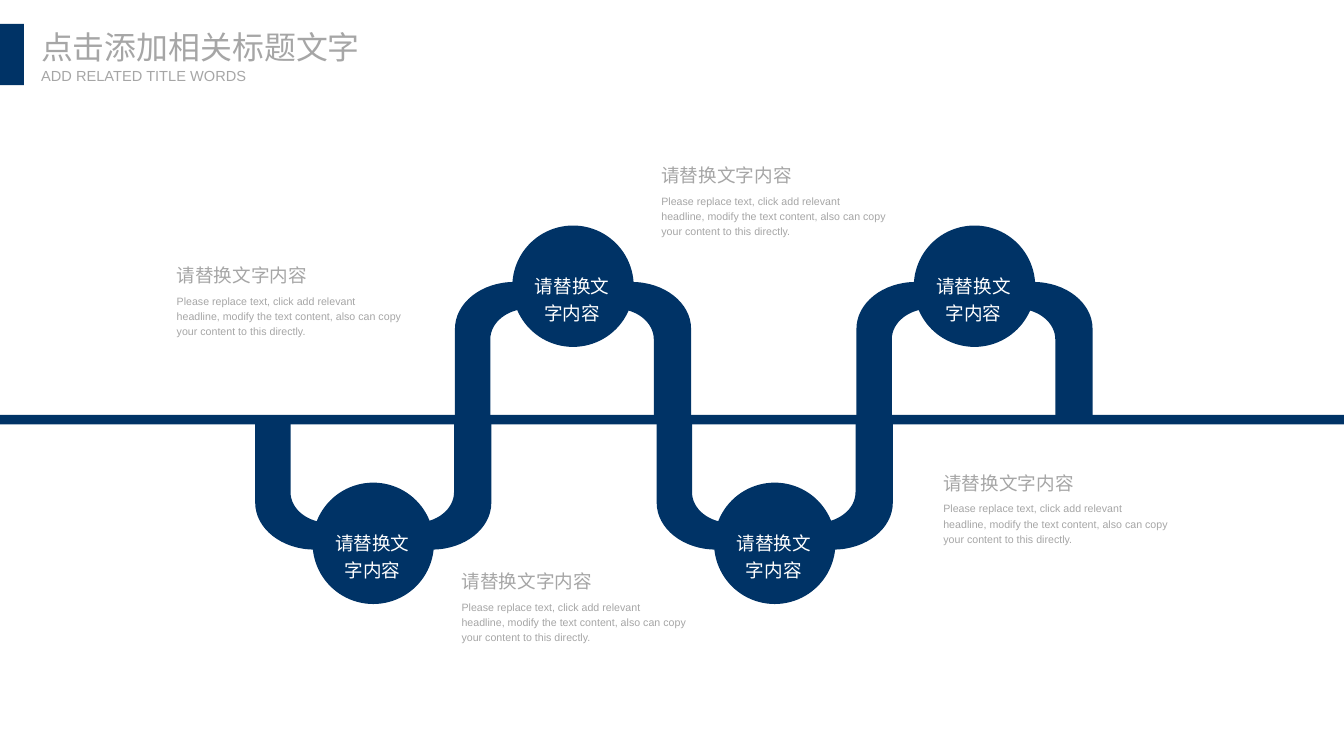
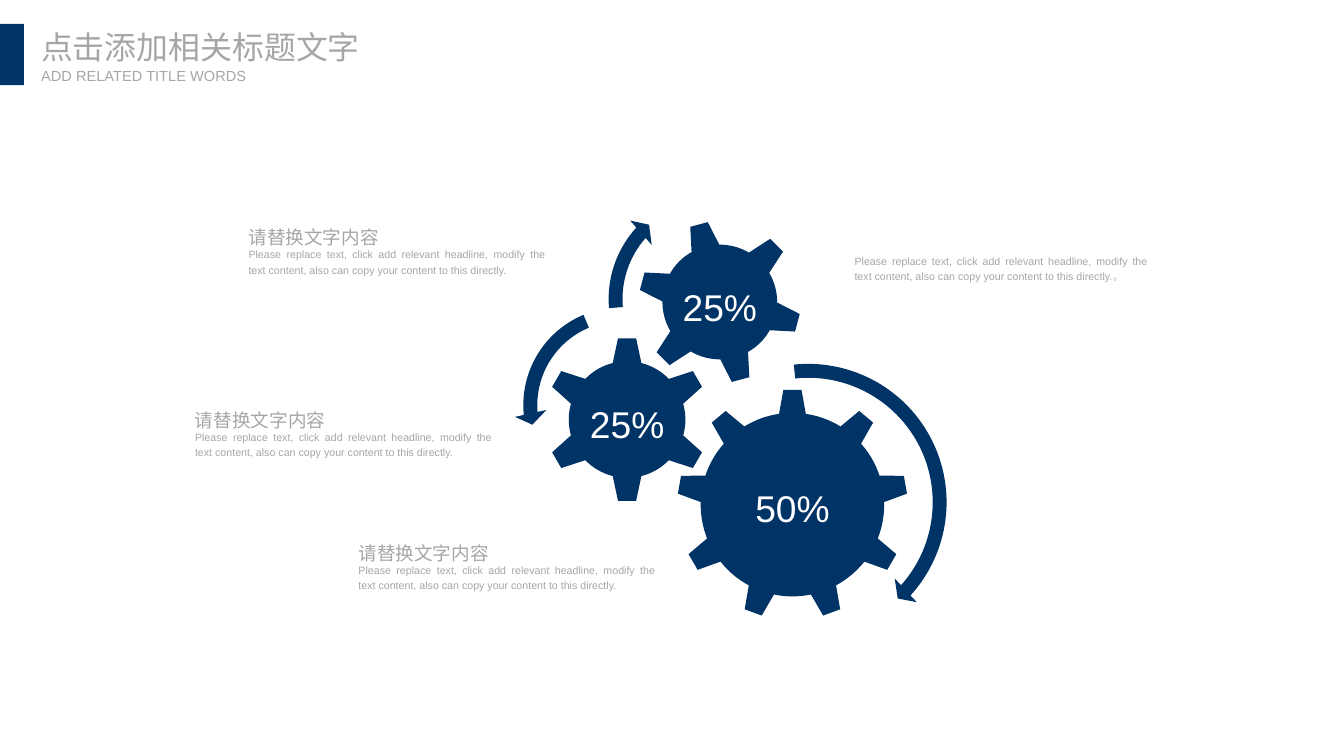
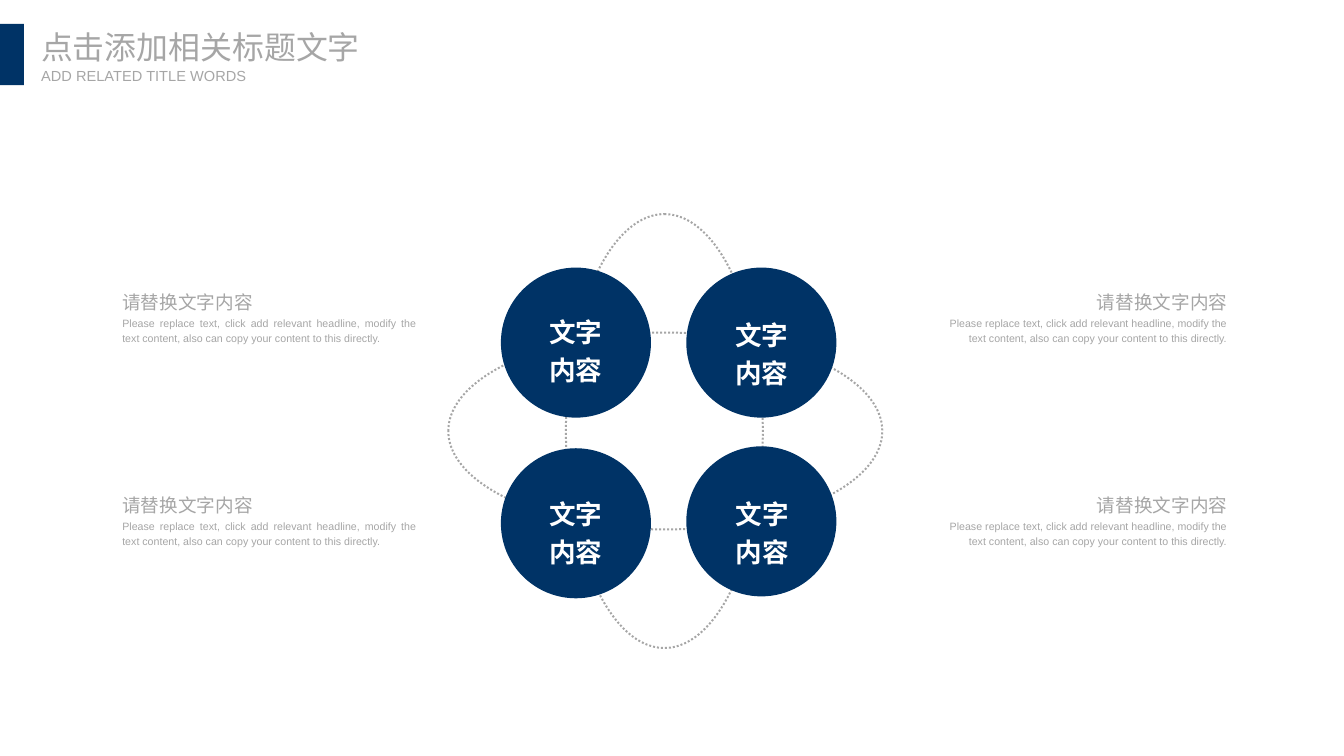
import math
from lxml import etree
from pptx import Presentation
from pptx import util as u
from pptx.dml import color
from pptx.enum import dml, shapes, text
from pptx.oxml import ns

CELL = u.Inches(1)
COLS, ROWS = 14.06, 7.91
NAVY, GREY, WHITE = "003366", "A6A6A6", "FFFFFF"
KIND = shapes.MSO_SHAPE
ALIGN = text.PP_ALIGN
HEAD = "请替换文字内容"
BODY = ("Please replace text, click add relevant headline, modify the "
        "text content, also can copy your content to this directly.")


def rgb(hue):
    return color.RGBColor.from_string(hue)


def span(*cells):
    return [round(c * CELL) for c in cells]


def style(shape, fill=NAVY, line=None):
    shape.shadow.inherit = False
    if fill:
        shape.fill.solid()
        shape.fill.fore_color.rgb = rgb(fill)
    else:
        shape.fill.background()
    if line:
        shape.line.color.rgb = rgb(line)
        shape.line.width = u.Pt(1.5)
        shape.line.dash_style = dml.MSO_LINE.ROUND_DOT
    else:
        shape.line.fill.background()
    return shape


def draw(slide, kind, box, **look):
    return style(slide.shapes.add_shape(kind, *span(*box)), **look)


def outline(slide, parts):
    spots = [span(*p) for part in parts for p in part]
    pen = slide.shapes.build_freeform(*spots[0], scale=1.0)
    pen.add_line_segments(spots[1:], close=True)
    shape = style(pen.convert_to_shape())
    lines = iter(list(shape.element.iter(ns.qn("a:lnTo"))))
    for part in parts[1:]:
        legs = [next(lines) for _ in part]
        if len(legs) == 3:
            curve = etree.Element(ns.qn("a:cubicBezTo"))
            legs[0].addprevious(curve)
            for leg in legs:
                curve.append(leg[0])
                leg.getparent().remove(leg)
    return shape


def write(frame, words, size=14, hue=GREY, font="Arial", bold=False,
          align=ALIGN.LEFT, lead=1.2, pad=(0, 0), grow=True, wrap=True,
          anchor=text.MSO_ANCHOR.TOP):
    frame.word_wrap = wrap
    frame.auto_size = (text.MSO_AUTO_SIZE.SHAPE_TO_FIT_TEXT if grow
                       else text.MSO_AUTO_SIZE.NONE)
    frame.vertical_anchor = anchor
    frame.margin_left = frame.margin_right = u.Inches(pad[0])
    frame.margin_top = frame.margin_bottom = u.Inches(pad[1])
    para = frame.paragraphs[0]
    para.alignment = align
    para.line_spacing = lead
    run = para.add_run()
    run.text = words
    run.font.size = u.Pt(size)
    run.font.name = font
    run.font.bold = bold
    run.font.color.rgb = rgb(hue)


def note(slide, box, words, **form):
    write(slide.shapes.add_textbox(*span(*box)).text_frame, words, **form)


def start(deck):
    slide = deck.slides.add_slide(deck.slide_layouts[5])
    draw(slide, KIND.RECTANGLE, (0, 0.25, 0.25, 0.64))
    title = slide.shapes.title
    title.left, title.top, title.width, title.height = span(
        0.43, 0.29, 3.37, 0.4)
    write(title.text_frame, "点击添加相关标题文字", size=24,
          font="Noto Sans CJK SC", lead=1.0, wrap=False)
    note(slide, (0.43, 0.7, 2.18, 0.19), "ADD RELATED TITLE WORDS",
         size=11, lead=1.0, wrap=False)
    return slide


def caption(slide, spot, head, body, gap, wrap=True, align=ALIGN.LEFT, **form):
    x, y = spot
    shift = body[0] - head[0] if align == ALIGN.RIGHT else 0
    note(slide, (x, y + gap, *body), BODY, size=8, align=align, **form)
    note(slide, (x + shift, y, *head), HEAD, wrap=wrap, align=align, **form)


def arc(cx, cy, rx, ry, first, last):
    a, b = math.radians(first), math.radians(last)
    k = 4 / 3 * math.tan((b - a) / 4)

    def spot(t, pull):
        return (cx + rx * (math.cos(t) - pull * math.sin(t)),
                cy + ry * (math.sin(t) + pull * math.cos(t)))
    return spot(a, k), spot(b, -k), spot(b, 0)


def pipe(slide, x, y, way):
    edge = [[(0, 0)], [(0.37, 0)], [(0.37, 0.79)],
            arc(0.77, 0.79, 0.4, 0.32, 180, 90), [(1.68, 1.11)],
            arc(1.68, 0.79, 0.4, 0.32, 90, 0),
            [(2.08, 0)], [(2.47, 0)], [(2.47, 0.9)],
            arc(1.85, 0.9, 0.62, 0.49, 0, 90), [(0.62, 1.39)],
            arc(0.62, 0.9, 0.62, 0.49, 90, 180)]
    outline(slide, [[(x + px, y + way * py) for px, py in part]
                    for part in edge])


def flow(deck):
    slide = start(deck)
    spots = []
    for i in range(4):
        x = 2.67 + 4.2 * (i // 2) + 2.09 * (i % 2)
        down = i % 2 == 0
        pipe(slide, x, 4.36 if down else 4.34, 1 if down else -1)
        top = 5.05 if down else 2.36
        draw(slide, KIND.OVAL, (x + 0.6, top, 1.27, 1.27))
        spots.append((x + 0.68, top + 0.42, 1.09, 0.64))
    draw(slide, KIND.RECTANGLE, (0, 4.34, 14.08, 0.1))
    for box in spots:
        note(slide, box, HEAD, hue=WHITE, align=ALIGN.CENTER, pad=(0.1, 0.05))
    for spot in ((1.75, 2.67), (4.73, 5.87), (6.82, 1.62), (9.77, 4.84)):
        caption(slide, spot, (1.58, 0.36), (2.55, 0.59), 0.34,
                wrap=False, pad=(0.1, 0.05))


def gear(slide, mid, teeth, turn, rim, tip, foot, words):
    cx, cy = mid
    half = math.degrees(math.asin(foot / rim))
    step = 360 / teeth
    edge = []
    for i in range(teeth):
        a = turn + step * i
        c, s = math.cos(math.radians(a)), math.sin(math.radians(a))
        for side in (-0.095, 0.095):
            edge.append([(cx + tip * c - side * s, cy + tip * s + side * c)])
        gap = arc(cx, cy, rim, rim, a + half, a + step - half)
        root = math.radians(a + half)
        edge.append([(cx + rim * math.cos(root), cy + rim * math.sin(root))])
        edge.append(gap)
    write(outline(slide, edge).text_frame, words, size=28, hue=WHITE,
          align=ALIGN.CENTER, anchor=text.MSO_ANCHOR.MIDDLE, grow=False)


def sweep(slide, kind, x, y, size, bends):
    arrow = draw(slide, kind, (x, y, size, size))
    for i, bend in enumerate(bends):
        arrow.adjustments[i] = bend / 1000


def gears(deck):
    slide = start(deck)
    gear(slide, (8.29, 5.28), 9, -90, 0.96, 1.2, 0.14, "50%")
    gear(slide, (6.56, 4.39), 6, -90, 0.61, 0.85, 0.15, "25%")
    gear(slide, (7.53, 3.16), 6, -105, 0.6, 0.84, 0.15, "25%")
    sweep(slide, KIND.CIRCULAR_ARROW, 6.91, 3.71, 3.09,
          (47, 2990, 25254, 158416, 55))
    sweep(slide, KIND.LEFT_CIRCULAR_ARROW, 5.38, 3.12, 2.24,
          (65, 4300, 104891, 148378, 75))
    sweep(slide, KIND.CIRCULAR_ARROW, 6.27, 1.92, 2.42,
          (60, 3941, 133138, 105082, 70))
    for spot in ((2.6, 2.32), (2.04, 4.23), (3.75, 5.62)):
        caption(slide, spot, (2.07, 0.25), (3.11, 0.31), 0.25,
                align=ALIGN.JUSTIFY)
    note(slide, (8.94, 2.64, 3.07, 0.31), BODY + "。", size=8,
         align=ALIGN.JUSTIFY)


def petals(deck):
    slide = start(deck)
    for x, turn in ((4.69, 0), (4.68, 90)):
        ring = draw(slide, KIND.OVAL, (x, 3.48, 4.54, 2.06),
                    fill=None, line=GREY)
        ring.rotation = turn
    discs = ((5.24, 2.8), (7.18, 2.8), (7.18, 4.67), (5.24, 4.69))
    for x, y in discs:
        draw(slide, KIND.OVAL, (x, y, 1.57, 1.57))
    for box in ((5.6, 3.19, 0.85, 0.87), (7.53, 3.22, 0.88, 0.87),
                (5.62, 5.09, 0.81, 0.87), (7.54, 5.09, 0.87, 0.87)):
        note(slide, box, "文字内容", size=20, hue=WHITE, bold=True,
             align=ALIGN.CENTER, pad=(0.1, 0.05))
    for y in (2.95, 5.07):
        for x, w, align in ((1.17, 3.3, ALIGN.JUSTIFY),
                            (9.71, 3.24, ALIGN.RIGHT)):
            caption(slide, (x, y), (2.38, 0.39), (w, 0.74), 0.29,
                    align=align, pad=(0.11, 0.05), grow=False)


def main():
    deck = Presentation()
    deck.slide_width, deck.slide_height = span(COLS, ROWS)
    for build in (flow, gears, petals):
        build(deck)
    deck.save("out.pptx")


if __name__ == "__main__":
    main()
